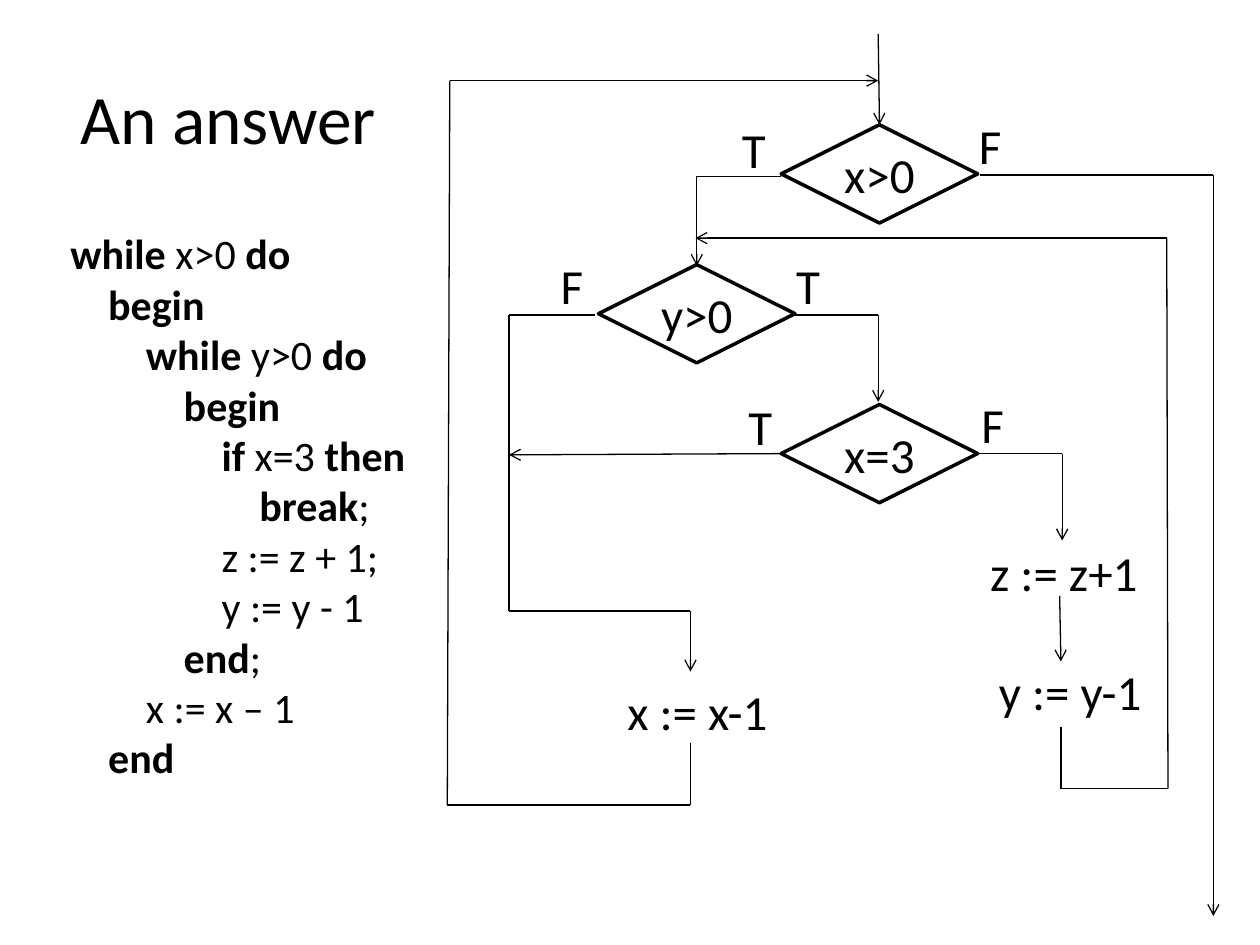
from itertools import pairwise
from lxml import etree
from pptx import Presentation
from pptx.dml.color import RGBColor
from pptx.enum.shapes import MSO_CONNECTOR, MSO_SHAPE
from pptx.enum.text import MSO_ANCHOR, PP_ALIGN
from pptx.oxml.ns import qn
from pptx.util import Inches, Pt

BLACK = RGBColor(0, 0, 0)
FONT = "Calibri"
INDENT = 0.3

DECISIONS = [("x>0", 6.2, 0.99), ("y>0", 4.75, 2.1), ("x=3", 6.2, 3.21)]

LABELS = [
    ("T", 5.79, 0.9, 0.39), ("F", 7.67, 0.87, 0.38),
    ("F", 4.35, 1.98, 0.38), ("T", 6.22, 1.98, 0.39),
    ("T", 5.84, 3.1, 0.39), ("F", 7.69, 3.08, 0.38),
    ("x := x-1", 4.88, 5.36, 1.35), ("z := z+1", 7.76, 4.26, 1.4),
    ("y := y-1", 7.83, 5.2, 1.36),
]

ARROW_PATHS = [
    [(6.97, 0.27), (6.98, 0.99)],
    [(7.78, 1.39), (9.63, 1.39), (9.63, 7.27)],
    [(6.2, 1.4), (5.53, 1.4), (5.53, 2.11)],
    [(6.3, 2.5), (6.97, 2.5), (6.97, 3.19)],
    [(7.75, 3.6), (8.43, 3.6), (8.43, 4.29)],
    [(6.21, 3.6), (4.04, 3.61)],
    [(4.72, 2.5), (4.04, 2.5), (4.04, 4.85), (5.48, 4.85), (5.48, 5.33)],
    [(5.48, 5.9), (5.48, 6.39), (3.55, 6.39), (3.57, 0.64), (6.97, 0.64)],
    [(8.41, 4.73), (8.42, 5.25)],
    [(8.42, 5.77), (8.42, 6.26), (9.27, 6.26), (9.26, 1.89), (5.52, 1.89)],
]

CODE = [
    (0, [("while", True), (" x>0 ", False), ("do", True)]),
    (1, [("begin", True)]),
    (2, [("while ", True), ("y>0", False), (" do", True)]),
    (3, [("begin", True)]),
    (4, [("if", True), (" x=3 ", False), ("then", True)]),
    (5, [("break", True), (";", False)]),
    (4, [("z := z + 1;", False)]),
    (4, [("y := y - 1", False)]),
    (3, [("end", True), (";", False)]),
    (2, [("x := x – 1", False)]),
    (1, [("end", True)]),
]


def add_run(paragraph, text, size, bold=False):
    run = paragraph.add_run()
    run.text = text
    run.font.name = FONT
    run.font.size = Pt(size)
    run.font.bold = bold
    run.font.color.rgb = BLACK


def add_text(slide, text, left, top, width, height, size=28, wrap=False):
    box = slide.shapes.add_textbox(*map(Inches, (left, top, width, height)))
    box.text_frame.word_wrap = wrap
    add_run(box.text_frame.paragraphs[0], text, size)
    return box.text_frame


def add_title(slide, text):
    frame = add_text(slide, text, 0.5, 0.3, 2.62, 1.25, 39.6, True)
    frame.vertical_anchor = MSO_ANCHOR.MIDDLE
    frame.paragraphs[0].alignment = PP_ALIGN.CENTER


def add_decision(slide, text, left, top):
    diamond = slide.shapes.add_shape(
        MSO_SHAPE.DIAMOND, *map(Inches, (left, top, 1.56, 0.78)))
    diamond.shadow.inherit = False
    diamond.fill.background()
    diamond.line.color.rgb = BLACK
    diamond.line.width = Pt(2)
    frame = diamond.text_frame
    frame.word_wrap = False
    frame.vertical_anchor = MSO_ANCHOR.MIDDLE
    frame.paragraphs[0].alignment = PP_ALIGN.CENTER
    add_run(frame.paragraphs[0], text, 28)


def add_line(slide, start, end):
    line = slide.shapes.add_connector(
        MSO_CONNECTOR.STRAIGHT, *map(Inches, (*start, *end)))
    line.line.color.rgb = BLACK
    line.line.width = Pt(0.75)
    etree.SubElement(line._element.spPr, qn("a:effectLst"))
    return line


def add_arrow_path(slide, points):
    lines = [add_line(slide, start, end) for start, end in pairwise(points)]
    outline = lines[-1].line._get_or_add_ln()
    etree.SubElement(outline, qn("a:tailEnd"), type="arrow")


def add_code(slide):
    box = slide.shapes.add_textbox(*map(Inches, (0.46, 1.76, 2.92, 4.54)))
    frame = box.text_frame
    frame.word_wrap = True
    for number, (level, parts) in enumerate(CODE):
        paragraph = frame.add_paragraph() if number else frame.paragraphs[0]
        properties = paragraph._p.get_or_add_pPr()
        properties.set("marL", str(Inches(level * INDENT)))
        properties.set("indent", "0")
        for text, bold in parts:
            add_run(paragraph, text, 24, bold)


def main():
    presentation = Presentation()
    presentation.slide_width = Inches(10)
    presentation.slide_height = Inches(7.5)
    slide = presentation.slides.add_slide(presentation.slide_layouts[6])
    add_title(slide, "An answer")
    add_code(slide)
    for decision in DECISIONS:
        add_decision(slide, *decision)
    for text, left, top, width in LABELS:
        add_text(slide, text, left, top, width, 0.57)
    for points in ARROW_PATHS:
        add_arrow_path(slide, points)
    presentation.save("out.pptx")


main()
